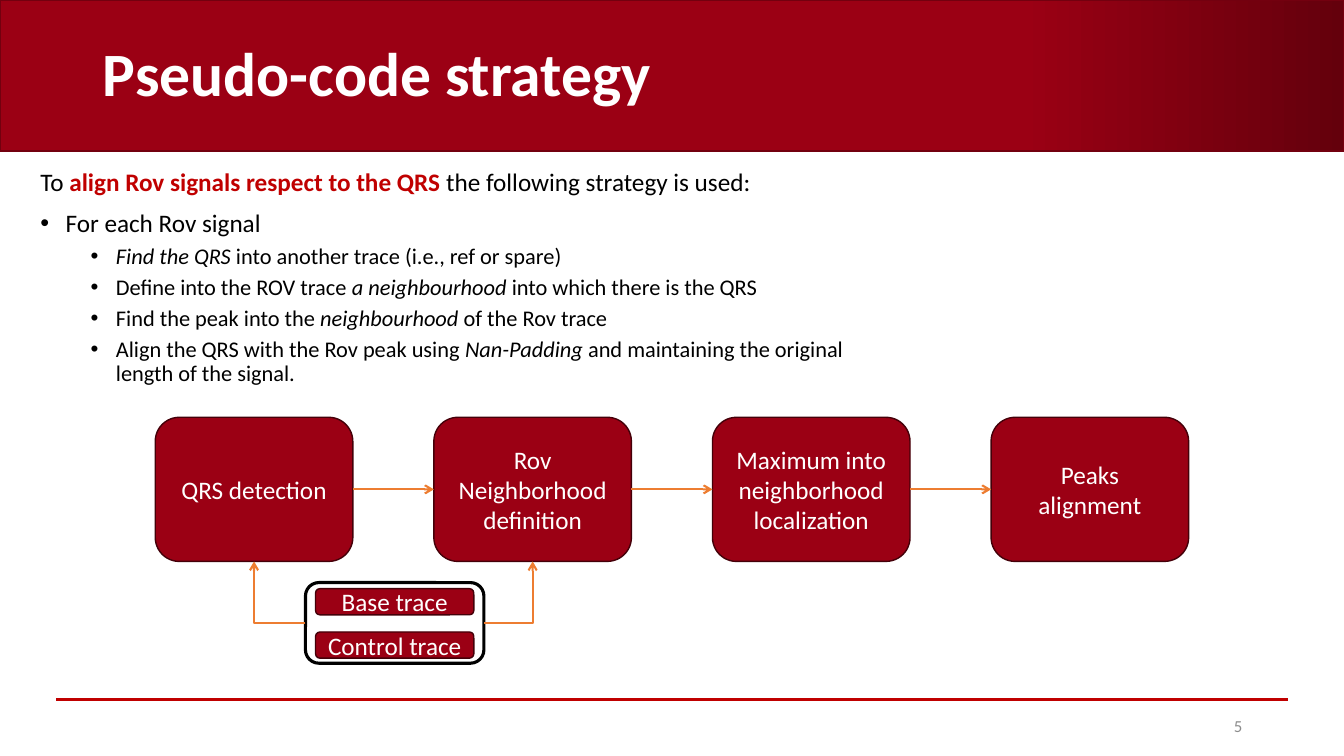
from lxml.etree import SubElement
from pptx import Presentation
from pptx.dml.color import RGBColor
from pptx.enum.shapes import MSO_CONNECTOR as Link, MSO_SHAPE as Preset
from pptx.enum.text import MSO_ANCHOR as Anchor, MSO_AUTO_SIZE as AutoSize, PP_ALIGN as Align
from pptx.oxml.ns import qn
from pptx.util import Inches, Pt

RED, DARK_RED, EDGE = "9B0014", "64000C", "440009"
ACCENT, ORANGE, GREY = "C00000", "ED7D31", "8C8C8C"
BLACK, WHITE = "000000", "FFFFFF"
TOP, LEFT, BOTTOM, RIGHT = range(4)  # connection sites of a box

# Each line: level, bulleted, runs of (text, style)
STRATEGY = [
    (0, False, [("To ", ""), ("align Rov signals respect to the QRS ", "key"),
                ("the following strategy is used:", "")]),
    (0, True, [("For each Rov signal", "")]),
    (1, True, [("Find the QRS ", "italic"), ("into another trace (i.e., ref or spare)", "")]),
    (1, True, [("Define into the ROV trace ", ""), ("a neighbourhood ", "italic"),
               ("into which there is the QRS", "")]),
    (1, True, [("Find the peak into the ", ""), ("neighbourhood ", "italic"),
               ("of the Rov trace", "")]),
    (1, True, [("Align the QRS with the Rov peak using ", ""), ("Nan-Padding", "italic"),
               (" and maintaining the original length of the signal.", "")]),
]
STEPS = ["QRS detection", "Rov Neighborhood definition",
         "Maximum into neighborhood localization", "Peaks alignment"]
TRACES = ["Base trace", "Control trace"]


def paint(color_format, color):
    color_format.rgb = RGBColor.from_string(color)


def add_text(paragraph, text, size, color, bold=False, italic=False):
    run = paragraph.add_run()
    run.text = text
    font = run.font
    font.name, font.size, font.bold, font.italic = "Calibri", Pt(size), bold, italic
    paint(font.color, color)


def place(shape, box):
    shape.left, shape.top, shape.width, shape.height = map(Inches, box)


def add_box(slide, preset, box, fill, edge, weight, label=""):
    shape = slide.shapes.add_shape(preset, *map(Inches, box))
    shape.shadow.inherit = False
    if fill:
        shape.fill.solid()
        paint(shape.fill.fore_color, fill)
    else:
        shape.fill.background()
    paint(shape.line.color, edge)
    shape.line.width = Pt(weight)
    if label:
        frame = shape.text_frame
        frame.word_wrap, frame.vertical_anchor = True, Anchor.MIDDLE
        frame.paragraphs[0].alignment = Align.CENTER
        add_text(frame.paragraphs[0], label, 18, WHITE)
    return shape


def add_line(slide, color, start=(0, 0), end=(0, 0), kind=Link.STRAIGHT):
    line = slide.shapes.add_connector(kind, *map(Inches, start + end))
    paint(line.line.color, color)
    line.line.width = Pt(1.5)
    SubElement(line._element.spPr, qn("a:effectLst"))
    return line


def link(slide, source, source_site, target, target_site, bent=False):
    arrow = add_line(slide, ORANGE, kind=Link.ELBOW if bent else Link.STRAIGHT)
    arrow.begin_connect(source, source_site)
    arrow.end_connect(target, target_site)
    if bent:  # one corner only
        arrow._element.spPr.find(qn("a:prstGeom")).set("prst", "bentConnector2")
    SubElement(arrow.line._get_or_add_ln(), qn("a:tailEnd"), type="arrow")


def build_header(slide, box):
    left, top, width, height = box
    band = add_box(slide, Preset.RECTANGLE, box, RED, "73000F", 1)
    band.fill.gradient()
    band.fill.gradient_angle = 0
    for stop, position, color in zip(band.fill.gradient_stops, (0.76, 1), (RED, DARK_RED)):
        stop.position = position
        paint(stop.color, color)
    slide.shapes._spTree.insert(2, band._element)  # behind the title

    title = slide.shapes.title
    place(title, (left + 0.92, top + 0.23, 9.81, 1.06))
    frame = title.text_frame
    frame.auto_size, frame.vertical_anchor = AutoSize.NONE, Anchor.MIDDLE
    heading = frame.paragraphs[0]
    heading.alignment, heading.line_spacing = Align.LEFT, 0.9
    add_text(heading, "Pseudo-code strategy", 44, WHITE, bold=True)


def build_strategy(slide, box):
    body = slide.placeholders[1]
    place(body, box)
    frame = body.text_frame
    frame.auto_size, frame.word_wrap = AutoSize.NONE, True
    for i, (level, bulleted, runs) in enumerate(STRATEGY):
        item = frame.add_paragraph() if i else frame.paragraphs[0]
        item.level, item.line_spacing = level, 0.9
        item.space_before = Pt(5 if level else 10)
        props = item._p.get_or_add_pPr()
        indent = 0.25 if bulleted else 0
        props.set("marL", str(Inches(0.5 * level + indent)))
        props.set("indent", str(-Inches(indent)))
        if bulleted:
            SubElement(props, qn("a:buFont"), typeface="Arial")
            SubElement(props, qn("a:buChar"), char="•")
        else:
            SubElement(props, qn("a:buNone"))
        for text, style in runs:
            key = style == "key"
            add_text(item, text, 16 if level else 18, ACCENT if key else BLACK,
                     bold=key, italic=style == "italic")


def build_flow(slide, box):
    left, top, width, height = box
    step_width = 1.96
    pitch = (width - step_width) / (len(STEPS) - 1)
    steps = [add_box(slide, Preset.ROUNDED_RECTANGLE,
                     (left + i * pitch, top, step_width, height), RED, EDGE, 1, label)
             for i, label in enumerate(STEPS)]
    for step, following in zip(steps, steps[1:]):
        link(slide, step, RIGHT, following, LEFT)
    return steps


def build_traces(slide, box, steps):
    left, top, width, height = box
    for i, label in enumerate(TRACES):
        add_box(slide, Preset.ROUNDED_RECTANGLE,
                (left + 0.1, top + 0.06 + i * 0.43, width - 0.2, 0.26), RED, EDGE, 1, label)
    frame = add_box(slide, Preset.ROUNDED_RECTANGLE, box, None, BLACK, 2.25)
    for side, step in zip((LEFT, RIGHT), steps):
        link(slide, frame, side, step, BOTTOM, bent=True)


def build_footer(slide, box):
    left, top, width, height = box
    add_line(slide, ACCENT, (left, top), (left + width, top))
    number = slide.shapes.add_textbox(*map(Inches, (left + 8.86, top + 0.06, 3, 0.4)))
    frame = number.text_frame
    frame.word_wrap, frame.vertical_anchor = True, Anchor.MIDDLE
    frame.paragraphs[0].alignment = Align.RIGHT
    add_text(frame.paragraphs[0], "5", 12, GREY)


def main():
    deck = Presentation()
    deck.slide_width, deck.slide_height = Inches(13.33), Inches(7.5)
    slide = deck.slides.add_slide(deck.slide_layouts[1])
    build_header(slide, (0, 0, 13.33, 1.5))
    build_strategy(slide, (0.3, 1.63, 8.58, 2.4))
    steps = build_flow(slide, (1.54, 4.14, 10.25, 1.43))
    build_traces(slide, (3.03, 5.78, 1.77, 0.8), steps)
    build_footer(slide, (0.56, 6.94, 12.21, 0.46))
    deck.save("out.pptx")


if __name__ == "__main__":
    main()
